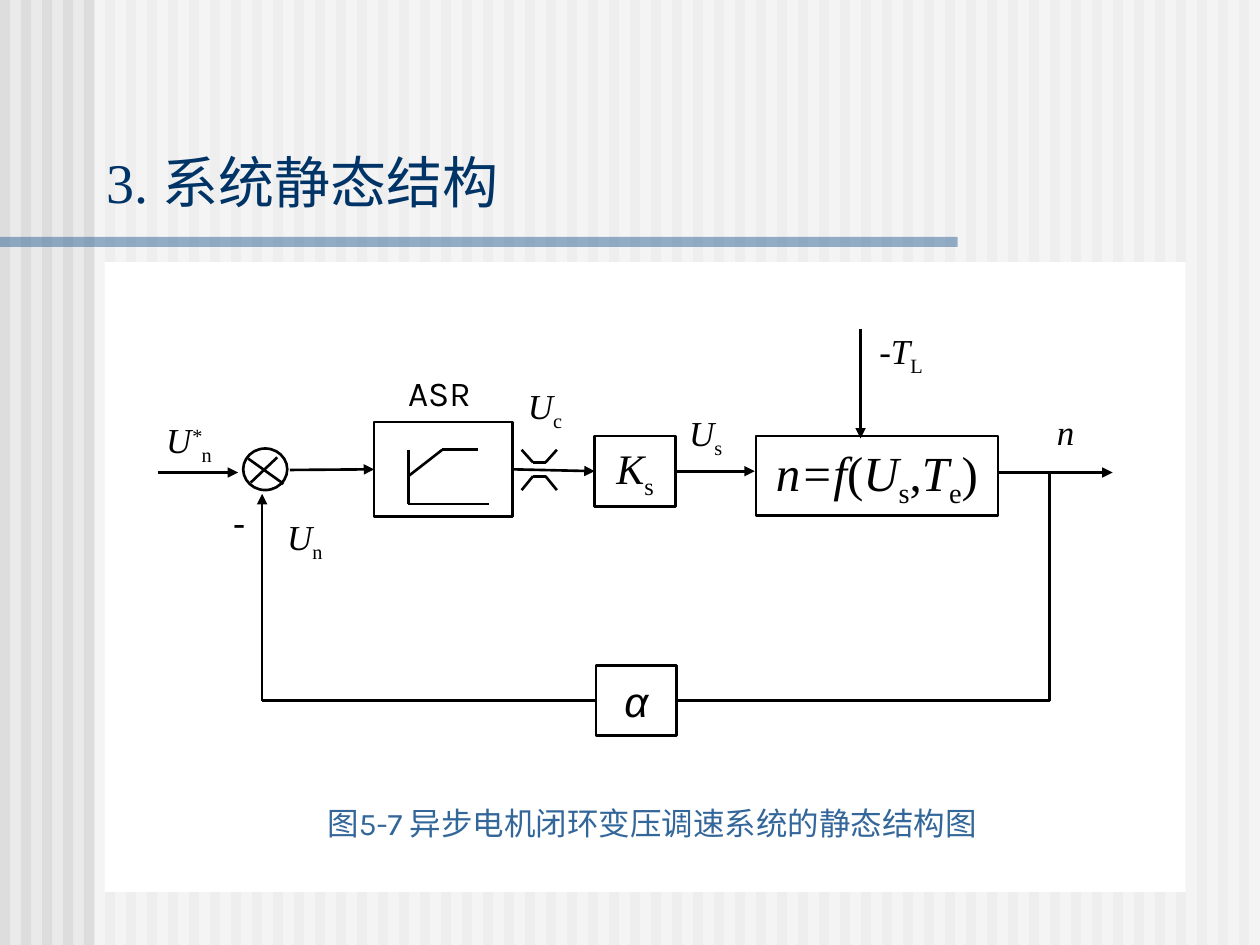
from lxml import etree
from pptx import Presentation
from pptx.dml.color import RGBColor
from pptx.enum.shapes import MSO_CONNECTOR, MSO_SHAPE
from pptx.enum.text import MSO_ANCHOR as Anchor, PP_ALIGN as Align
from pptx.oxml.ns import qn
from pptx.util import Inches, Pt

SERIF = "Times New Roman"
BASELINES = {"sub": "-25000", "sup": "30000"}


def colour(value):
    return RGBColor.from_string(value)


class Diagram:
    """Draws on one slide in a shared style."""

    ink = "000000"
    stroke = 1.5

    def __init__(self, page):
        self.page = page

    def shape(self, left, top, width, height, fill=None, alpha=None,
              outlined=False, kind=MSO_SHAPE.RECTANGLE):
        shape = self.page.shapes.add_shape(
            kind, Inches(left), Inches(top), Inches(width), Inches(height))
        shape.shadow.inherit = False
        if fill:
            shape.fill.solid()
            shape.fill.fore_color.rgb = colour(fill)
            if alpha:
                tint = shape._element.spPr.find(".//" + qn("a:srgbClr"))
                etree.SubElement(tint, qn("a:alpha")).set("val", str(alpha * 1000))
        else:
            shape.fill.background()
        if outlined:
            shape.line.color.rgb = colour(self.ink)
            shape.line.width = Pt(self.stroke)
        else:
            shape.line.fill.background()
        return shape

    def fill_text(self, box, spans, size, font=SERIF, ink=None, align=Align.LEFT,
                  anchor=Anchor.TOP, spacing=None):
        """Fill a box with (text, style) spans; styles are i, sub, sup or none."""
        frame = box.text_frame
        frame.word_wrap = True
        frame.vertical_anchor = anchor
        para = frame.paragraphs[0]
        para.alignment = align
        if spacing:
            para.line_spacing = spacing
        para.font.size = Pt(size)
        para.font.name = font
        para.font.color.rgb = colour(ink or self.ink)
        for text, style in spans:
            span = para.add_run()
            span.text = text
            span.font.italic = style in ("i", "sup")
            if style in BASELINES:
                span._r.get_or_add_rPr().set("baseline", BASELINES[style])

    def text(self, left, top, width, height, spans, size=20, **style):
        box = self.page.shapes.add_textbox(
            Inches(left), Inches(top), Inches(width), Inches(height))
        self.fill_text(box, spans, size, **style)

    def block(self, left, top, width, height, spans, size=24, font=SERIF):
        box = self.shape(left, top, width, height, outlined=True)
        self.fill_text(box, spans, size, font, align=Align.CENTER,
                       anchor=Anchor.MIDDLE)
        return box

    def line(self, x1, y1, x2, y2, arrow=False, begin=None, end=None):
        """Draw a line; begin and end are (shape, side) pairs to join."""
        line = self.page.shapes.add_connector(
            MSO_CONNECTOR.STRAIGHT, Inches(x1), Inches(y1), Inches(x2), Inches(y2))
        line.line.color.rgb = colour(self.ink)
        line.line.width = Pt(self.stroke)
        if arrow:
            outline = line._element.spPr.find(qn("a:ln"))
            etree.SubElement(outline, qn("a:tailEnd")).set("type", "triangle")
        etree.SubElement(line._element.spPr, qn("a:effectLst"))
        if begin:
            line.begin_connect(*begin)
        if end:
            line.end_connect(*end)


def draw_background(diagram):
    fill = diagram.page.background.fill
    fill.solid()
    fill.fore_color.rgb = colour("EAEAEA")
    for index in range(60):
        diagram.shape(index / 6, 0, 0.08, 7.5, "DDDDDD")
    diagram.shape(0.75, 0, 9.25, 7.5, "FFFFFF", alpha=50)
    diagram.shape(0, 1.88, 7.6, 0.08, "336699", alpha=50)


def draw_loop(diagram):
    feedback_y = 5.56

    # Summing junction
    diagram.shape(1.93, 3.56, 0.35, 0.33, outlined=True, kind=MSO_SHAPE.OVAL)
    diagram.line(1.97, 3.64, 2.25, 3.84)
    diagram.line(1.99, 3.83, 2.2, 3.63)

    # Blocks
    regulator = diagram.shape(2.97, 3.35, 1.1, 0.75, outlined=True)
    gain = diagram.block(4.72, 3.46, 0.64, 0.56, [("K", "i"), ("s", "sub")])
    diagram.block(6, 3.46, 1.92, 0.63, [
        ("n=f", "i"), ("(", ""), ("U", "i"), ("s", "sub"), (",", ""),
        ("T", "i"), ("e", "sub"), (")", "")], size=28)
    sensor = diagram.block(4.73, 5.28, 0.64, 0.56, [("α", "i")], font="Arial")

    # Saturation curve inside the regulator
    for ends in ((3.24, 4, 3.24, 3.57), (3.24, 4, 3.88, 4),
                 (3.24, 3.78, 3.51, 3.57), (3.51, 3.57, 3.79, 3.57)):
        diagram.line(*ends)

    # Limiter around the control signal
    for flat_y, tip_y in ((3.67, 3.57), (3.78, 3.89)):
        diagram.line(4.14, tip_y, 4.23, flat_y)
        diagram.line(4.23, flat_y, 4.33, flat_y)
        diagram.line(4.33, flat_y, 4.42, tip_y)

    # Forward path and load
    diagram.line(1.25, 3.75, 1.89, 3.75, arrow=True)
    diagram.line(2.3, 3.73, 2.97, 3.73, arrow=True, end=(regulator, 1))
    diagram.line(4.07, 3.73, 4.72, 3.74, arrow=True,
                 begin=(regulator, 3), end=(gain, 1))
    diagram.line(5.36, 3.74, 5.99, 3.74, arrow=True, begin=(gain, 3))
    diagram.line(7.92, 3.75, 8.83, 3.75, arrow=True)
    diagram.line(6.83, 2.61, 6.83, 3.48, arrow=True)

    # Feedback path
    diagram.line(8.33, 3.75, 8.33, feedback_y)
    diagram.line(8.33, feedback_y, 5.37, feedback_y, end=(sensor, 3))
    diagram.line(4.73, feedback_y, 2.08, feedback_y, begin=(sensor, 1))
    diagram.line(2.08, feedback_y, 2.08, 3.92, arrow=True)


def draw_labels(diagram):
    signals = [
        (1.22, 3.23, 0.78, [("U", "i"), ("*", "sup"), ("n", "sub")]),
        (2.18, 4, 0.62, [("U", "i"), ("n", "sub")]),
        (4.09, 2.96, 0.62, [("U", "i"), ("c", "sub")]),
        (5.37, 3.17, 0.62, [("U", "i"), ("s", "sub")]),
        (6.88, 2.52, 0.62, [("-T", "i"), ("L", "sub")]),
        (8.29, 3.17, 0.55, [("n", "i")]),
    ]
    for left, top, width, spans in signals:
        diagram.text(left, top, width, 0.48, spans, spacing=1.12)
    diagram.text(3.14, 2.9, 0.77, 0.44, [("ASR", "")], font="Karla")
    diagram.text(1.75, 3.93, 0.39, 0.44, [("-", "")], font="DejaVu Sans")


def main():
    deck = Presentation()
    deck.slide_width, deck.slide_height = Inches(10), Inches(7.5)
    diagram = Diagram(deck.slides.add_slide(deck.slide_layouts[6]))
    draw_background(diagram)
    diagram.text(0.75, 0.91, 8.93, 0.84, [("3. 系统静态结构", "")], size=32,
                 ink="003366", anchor=Anchor.BOTTOM)
    diagram.shape(0.83, 2.08, 8.58, 5, "FFFFFF")
    draw_loop(diagram)
    draw_labels(diagram)
    diagram.text(2.5, 6.33, 5.42, 0.8,
                 [("图5-7 异步电机闭环变压调速系统的静态结构图", "")],
                 size=18, font="Karla", ink="336699")
    deck.save("out.pptx")


if __name__ == "__main__":
    main()
